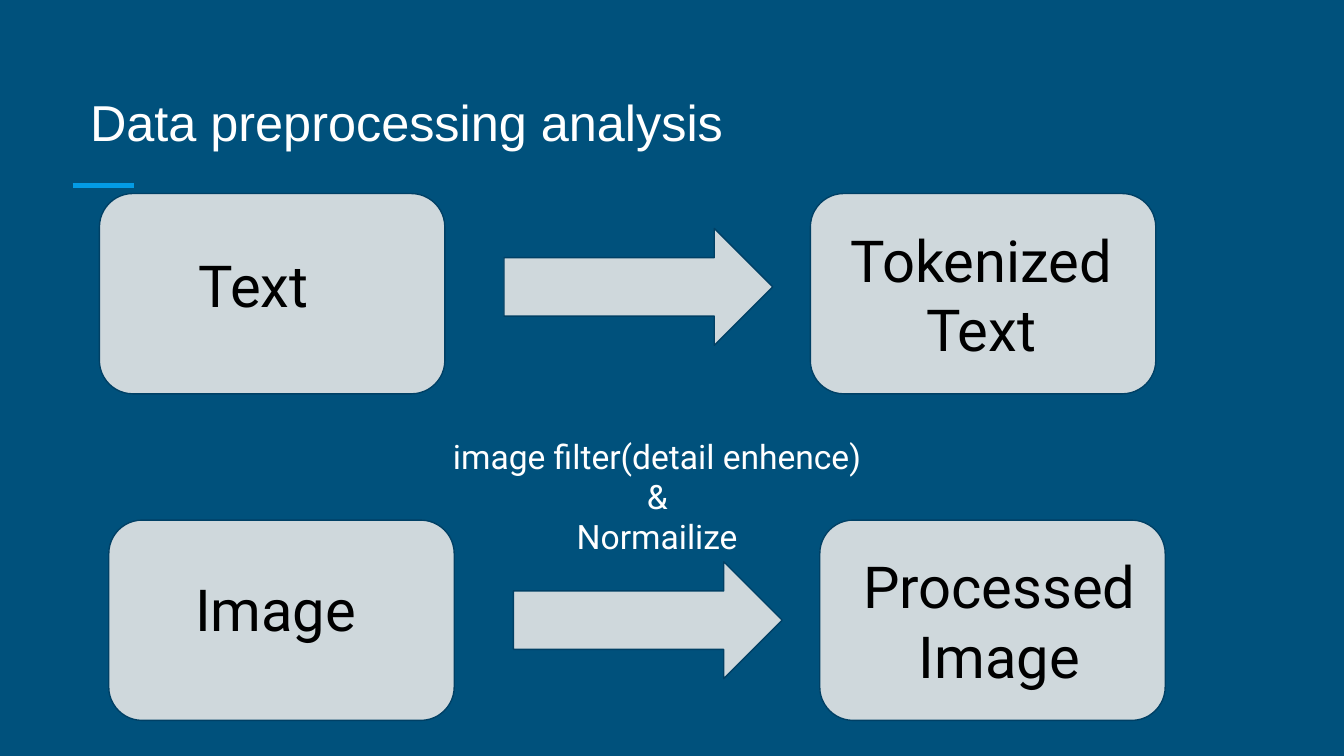
"""Build the data preprocessing slide: two rows, each leading from an input to its result."""
from lxml import etree
from pptx import Presentation
from pptx.dml.color import RGBColor
from pptx.enum.shapes import MSO_CONNECTOR, MSO_SHAPE
from pptx.enum.text import MSO_ANCHOR, MSO_AUTO_SIZE, PP_ALIGN
from pptx.oxml.ns import qn
from pptx.util import Inches, Pt

BOX = MSO_SHAPE.FLOWCHART_ALTERNATE_PROCESS
ARROW = MSO_SHAPE.RIGHT_ARROW
STRAIGHT = MSO_CONNECTOR.STRAIGHT
BOTTOM, TOP = MSO_ANCHOR.BOTTOM, MSO_ANCHOR.TOP
LEFT, CENTER = PP_ALIGN.LEFT, PP_ALIGN.CENTER
NO_AUTOFIT = MSO_AUTO_SIZE.NONE

BACKGROUND = RGBColor(0x00, 0x51, 0x7C)
ACCENT = RGBColor(0x03, 0x9B, 0xE5)
PALE = RGBColor(0xCF, 0xD8, 0xDC)
OUTLINE = RGBColor(0x00, 0x40, 0x65)
WHITE = RGBColor(0xFF, 0xFF, 0xFF)
BLACK = RGBColor(0x00, 0x00, 0x00)

SLIDE_WIDTH = 10
SLIDE_HEIGHT = SLIDE_WIDTH * 9 / 16
TITLE = "Data preprocessing analysis"
BOX_WIDTH, BOX_HEIGHT = 2.57, 1.49
ARROW_WIDTH, ARROW_HEIGHT = 2, 0.87
ARROW_OFFSET, RESULT_OFFSET = 3.01, 5.29
ROWS = [
    {"left": 0.74, "top": 1.44, "arrow_top": 1.7},
    {"left": 0.81, "top": 3.87, "arrow_top": 4.18},
]
LABELS = [
    ("Text", (1.38, 1.76, 1.3, 1.03), 31, BLACK, LEFT),
    ("Tokenized\nText", (6.19, 1.57, 2.22, 1.22), 31, BLACK, CENTER),
    ("Image", (0.94, 4.17, 2.22, 1.03), 31, BLACK, CENTER),
    ("Processed\nImage", (6.1, 4, 2.67, 1.22), 31, BLACK, CENTER),
    ("image filter(detail enhence)\n&\nNormailize", (2.97, 3.14, 3.84, 1.04), 18, WHITE, CENTER),
]


def write(shape, text, font_name, size, color, alignment, anchor):
    frame = shape.text_frame
    frame.text = text
    frame.word_wrap = True
    frame.auto_size = NO_AUTOFIT
    frame.vertical_anchor = anchor
    frame.margin_left = frame.margin_right = Inches(0.1)
    frame.margin_top = frame.margin_bottom = Inches(0.1)
    for paragraph in frame.paragraphs:
        paragraph.alignment = alignment
        for run in paragraph.runs:
            run.font.name = font_name
            run.font.size = Pt(size)
            run.font.color.rgb = color


def add_pale_shape(slide, kind, left, top, width, height):
    shape = slide.shapes.add_shape(kind, *map(Inches, (left, top, width, height)))
    shape.shadow.inherit = False
    shape.fill.solid()
    shape.fill.fore_color.rgb = PALE
    shape.line.color.rgb = OUTLINE
    shape.line.width = Pt(0.75)


def add_title(slide):
    title = slide.shapes.title
    title.left, title.top, title.width, title.height = map(Inches, (0.57, 0.51, 8.21, 0.72))
    write(title, TITLE, "Arial", 27, WHITE, LEFT, BOTTOM)
    paragraph = title.text_frame.paragraphs[0]
    paragraph.line_spacing = 1.15
    paragraph.space_before = paragraph.space_after = Pt(12)


def add_accent(slide):
    accent = slide.shapes.add_connector(STRAIGHT, *map(Inches, (0.54, 1.38, 1, 1.38)))
    accent.line.color.rgb = ACCENT
    accent.line.width = Pt(3)
    etree.SubElement(accent._element.spPr, qn("a:effectLst"))


def main():
    presentation = Presentation()
    presentation.slide_width = Inches(SLIDE_WIDTH)
    presentation.slide_height = Inches(SLIDE_HEIGHT)
    slide = presentation.slides.add_slide(presentation.slide_layouts[5])
    slide.background.fill.solid()
    slide.background.fill.fore_color.rgb = BACKGROUND
    add_accent(slide)
    add_title(slide)
    for row in ROWS:
        left, top = row["left"], row["top"]
        for box_left in (left, left + RESULT_OFFSET):
            add_pale_shape(slide, BOX, box_left, top, BOX_WIDTH, BOX_HEIGHT)
        add_pale_shape(slide, ARROW, left + ARROW_OFFSET, row["arrow_top"], ARROW_WIDTH, ARROW_HEIGHT)
    for text, place, size, color, alignment in LABELS:
        label = slide.shapes.add_textbox(*map(Inches, place))
        write(label, text, "Roboto", size, color, alignment, TOP)
    presentation.save("out.pptx")


if __name__ == "__main__":
    main()
